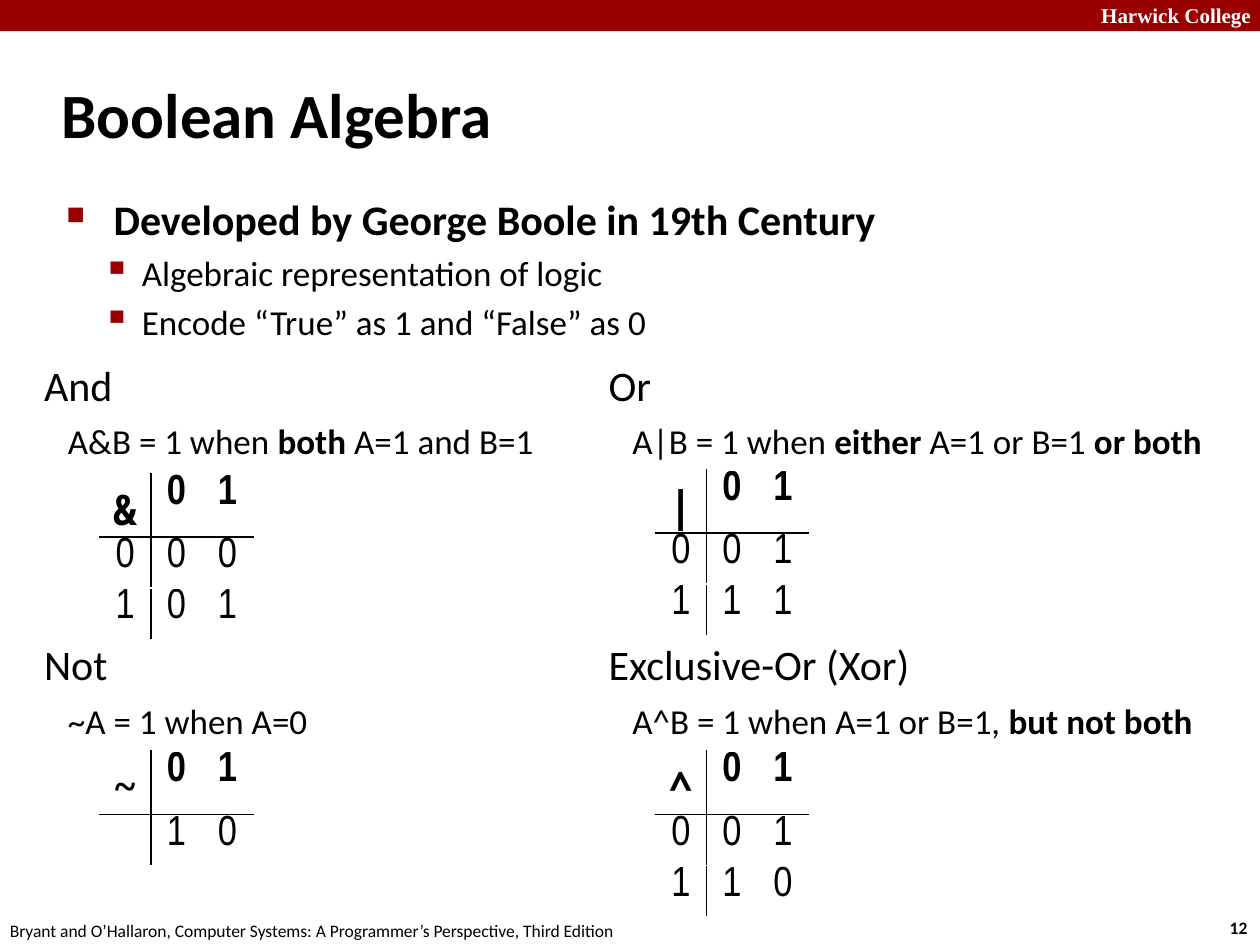
from dataclasses import dataclass

import lxml.etree
import pptx
import pptx.dml.color
import pptx.enum.shapes
import pptx.enum.text
import pptx.oxml.ns
import pptx.util

Cm = pptx.util.Cm
Pt = pptx.util.Pt
ALIGN = pptx.enum.text.PP_ALIGN


@dataclass(frozen=True)
class Theme:
    """Colours, fonts and type sizes of the slide."""
    accent: str = "990000"
    ink: str = "000000"
    paper: str = "FFFFFF"
    body_font: str = "Calibri"
    banner_font: str = "Times New Roman"
    digit_font: str = "Arial Narrow"
    operator_font: str = "Noto Sans Mono"
    title: int = 36
    heading: int = 24
    detail: int = 20
    banner: int = 12
    footer: int = 10


THEME = Theme()

# Heading, rule (bold parts between asterisks), box (left, top, width),
# table position (left, top), truth table with the operator in the corner
OPERATIONS = [
    ("And", "A&B = 1 when *both* A=1 and B=1",
     (0.89, 7.24, 10.41), (2.01, 9.55), ["&01", "000", "101"]),
    ("Or", "A|B = 1 when *either* A=1 or B=1 *or both*",
     (12.27, 7.24, 12.05), (13.21, 9.47), ["|01", "001", "111"]),
    ("Not", "~A = 1 when A=0",
     (0.89, 12.88, 5.82), (2.01, 15.14), ["~01", " 10"]),
    ("Exclusive-Or (Xor)", "A^B = 1 when A=1 or B=1, *but not both*",
     (12.27, 12.88, 14.4), (13.21, 15.14), ["^01", "001", "110"]),
]


def rgb(code):
    """Return the colour for a hex code."""
    return pptx.dml.color.RGBColor.from_string(code)


def style(paragraph, size, font=THEME.body_font, color=THEME.ink, bold=False):
    """Set the font of a whole paragraph."""
    paragraph.font.name = font
    paragraph.font.size = Pt(size)
    paragraph.font.bold = bold
    paragraph.font.color.rgb = rgb(color)


def add_node(parent, tag, **attributes):
    """Append a DrawingML element to a parent."""
    node = lxml.etree.SubElement(parent, pptx.oxml.ns.qn(tag))
    for key, value in attributes.items():
        node.set(key, str(value))
    return node


def add_text_frame(slide, left, top, width, height):
    """Add a wrapping text box and return its text frame."""
    box = slide.shapes.add_textbox(Cm(left), Cm(top), Cm(width), Cm(height))
    box.text_frame.word_wrap = True
    return box.text_frame


def add_label(slide, text, place, size, **look):
    """Add a single line of text."""
    line = add_text_frame(slide, *place).paragraphs[0]
    line.text = text
    style(line, size, **look)


def add_banner(slide):
    """Draw the band across the top with its name."""
    band = slide.shapes.add_shape(pptx.enum.shapes.MSO_SHAPE.RECTANGLE,
                                  0, 0, Cm(25.4), Cm(0.63))
    band.shadow.inherit = False
    band.fill.solid()
    band.fill.fore_color.rgb = rgb(THEME.accent)
    band.line.fill.background()
    add_label(slide, "Harwick College", (21.95, -0.08, 3.63, 0.76), THEME.banner,
              font=THEME.banner_font, color=THEME.paper, bold=True)


def set_title(slide, text):
    """Place and format the title placeholder."""
    title = slide.shapes.title
    title.left, title.top, title.width, title.height = map(
        Cm, (0.99, 1.22, 21.08, 2.11))
    title.text_frame.vertical_anchor = pptx.enum.text.MSO_ANCHOR.MIDDLE
    heading = title.text_frame.paragraphs[0]
    heading.text = text
    heading.alignment = ALIGN.LEFT
    style(heading, THEME.title, bold=True)


def add_bullet(paragraph, mark, percent, margin, hang):
    """Give a paragraph a coloured bullet and a hanging indent."""
    properties = paragraph._p.get_or_add_pPr()
    properties.set("marL", str(Cm(margin)))
    properties.set("indent", str(-Cm(hang)))
    color = add_node(properties, "a:buClr")
    add_node(color, "a:srgbClr", val=THEME.accent)
    add_node(properties, "a:buSzPct", val=percent * 1000)
    add_node(properties, "a:buChar", char=mark)


def add_introduction(slide):
    """Write the bulleted introduction."""
    frame = add_text_frame(slide, 1.09, 3.78, 21.95, 3.45)
    points = [(0, "Developed by George Boole in 19th Century"),
              (1, "Algebraic representation of logic"),
              (1, "Encode “True” as 1 and “False” as 0")]
    bullets = [("■", 60, 0.95, 0.95), ("▪", 110, 1.52, 0.79)]
    for index, (level, text) in enumerate(points):
        point = frame.add_paragraph() if index else frame.paragraphs[0]
        point.text = text
        point.level = level
        size = THEME.detail if level else THEME.heading
        point.space_before = Pt(size * 0.2)
        add_bullet(point, *bullets[level])
        style(point, size, bold=level == 0)


def add_rule(slide, heading, rule, place):
    """Write an operation's name and the rule below it."""
    frame = add_text_frame(slide, *place, 2.29)
    frame.margin_left = frame.margin_right = 0
    frame.margin_top = frame.margin_bottom = 0
    name, condition = frame.paragraphs[0], frame.add_paragraph()
    name.text = heading
    style(name, THEME.heading)
    style(condition, THEME.detail)
    condition._p.get_or_add_pPr().set("marL", str(Cm(0.48)))
    for paragraph in (name, condition):
        paragraph.space_before = Pt(5.8)
    for index, part in enumerate(rule.split("*")):
        if part:
            run = condition.add_run()
            run.text = part
            if index % 2:
                run.font.bold = True


def set_borders(cell, row, column):
    """Draw only the cross that separates headers from values."""
    drawn = {"L": column == 1, "R": column == 0, "T": row == 1, "B": row == 0}
    properties = cell._tc.get_or_add_tcPr()
    for side, black in drawn.items():
        line = add_node(properties, f"a:ln{side}", w=Pt(1))
        fill = add_node(line, "a:solidFill")
        add_node(fill, "a:srgbClr", val=THEME.ink if black else THEME.paper)


def add_truth_table(slide, place, rows):
    """Add the truth table of one operation."""
    side = 1.03
    table = slide.shapes.add_table(len(rows), 3, *map(Cm, place), Cm(3 * side),
                                   Cm(len(rows) * side)).table
    table.first_row = table.horz_banding = False
    for column in table.columns:
        column.width = Cm(side)
    for r, symbols in enumerate(rows):
        table.rows[r].height = Cm(side)
        for c, symbol in enumerate(symbols):
            cell = table.cell(r, c)
            operator = r == c == 0
            cell.margin_left = cell.margin_right = 0
            cell.margin_top = cell.margin_bottom = Cm(0.13 if operator else 0)
            set_borders(cell, r, c)
            cell.fill.solid()
            cell.fill.fore_color.rgb = rgb(THEME.paper)
            entry = cell.text_frame.paragraphs[0]
            entry.text = symbol.strip()
            entry.alignment = ALIGN.CENTER
            style(entry, THEME.heading, bold=r == 0,
                  font=THEME.operator_font if operator else THEME.digit_font)


def main():
    """Build the slide and save it."""
    deck = pptx.Presentation()
    deck.slide_width, deck.slide_height = Cm(25.4), Cm(19.05)
    slide = deck.slides.add_slide(deck.slide_layouts[5])
    add_banner(slide)
    add_label(slide, "12", (24.54, 18.36, 0.94, 0.69), THEME.footer, bold=True)
    add_label(slide, "Bryant and O’Hallaron, Computer Systems: "
              "A Programmer’s Perspective, Third Edition",
              (-0.05, 18.42, 12.9, 0.69), THEME.footer)
    set_title(slide, "Boolean Algebra")
    add_introduction(slide)
    for heading, rule, rule_place, table_place, rows in OPERATIONS:
        add_rule(slide, heading, rule, rule_place)
        add_truth_table(slide, table_place, rows)
    deck.save("out.pptx")


main()
